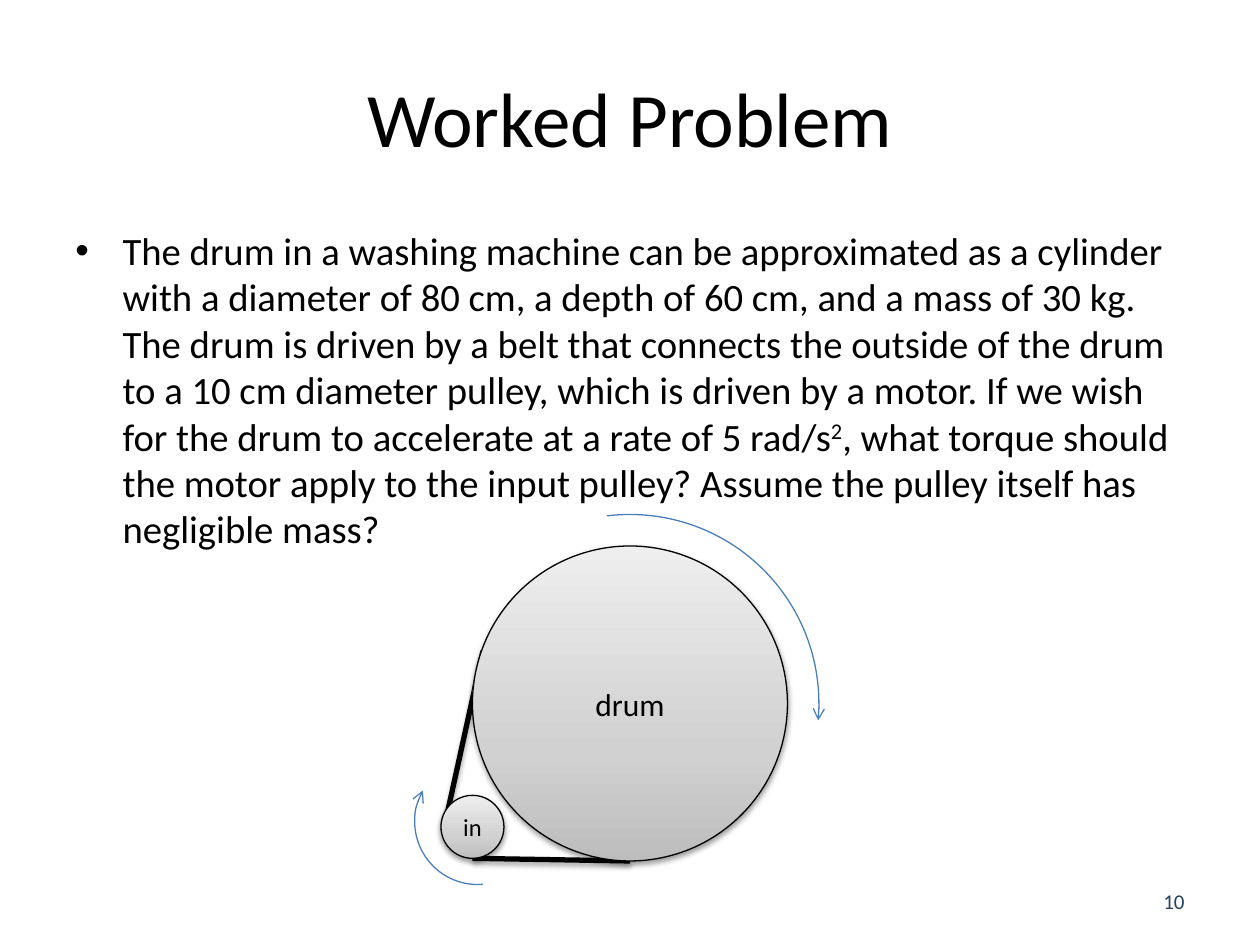
from copy import deepcopy
from dataclasses import dataclass
from lxml.etree import SubElement as Sub
from pptx import Presentation
from pptx.dml.color import RGBColor as RGB
from pptx.enum.shapes import MSO_CONNECTOR as Link, MSO_SHAPE as Kind
from pptx.enum.text import MSO_ANCHOR as Anchor, PP_ALIGN as Align
from pptx.oxml.ns import qn
from pptx.util import Pt


@dataclass(frozen=True)
class Theme:
    font: str = "Calibri"
    ink: str = "000000"
    navy: str = "254061"
    blue: str = "4B7EBC"
    grad: tuple = ((0, "BDBDBD"), (0.35, "D1D1D1"), (1, "EEEEEE"))
    title: float = 44
    body: float = 22.1
    drum: float = 18
    pulley: float = 14
    page: float = 12
    thin: float = 0.75
    belt: float = 3


T = Theme()


def style(para, size, color=T.ink, align=Align.LEFT):
    para.alignment = align
    for run in para.runs:
        run.font.name = T.font
        run.font.size = Pt(size)
        run.font.color.rgb = RGB.from_string(color)


def add_text(slide, box, text, size, color=T.ink, align=Align.LEFT,
             anchor=Anchor.MIDDLE):
    frame = slide.shapes.add_textbox(*map(Pt, box)).text_frame
    frame.word_wrap = True
    frame.vertical_anchor = anchor
    para = frame.paragraphs[0]
    para.text = text
    style(para, size, color, align)
    return para


def add_body(slide, box, parts):
    para = add_text(slide, box, "", T.body, anchor=Anchor.TOP)
    props = para._p.get_or_add_pPr()
    props.set("marL", str(Pt(27)))
    props.set("indent", str(Pt(-27)))
    Sub(props, qn("a:buFont"), typeface="Arial")
    Sub(props, qn("a:buChar"), char="•")
    for text, raised in parts:
        run = para.add_run()
        run.text = text
        if raised:
            run._r.get_or_add_rPr().set("baseline", "30000")
    style(para, T.body)


def set_line(shape, color, width):
    shape.line.color.rgb = RGB.from_string(color)
    shape.line.width = Pt(width)


def add_shade(shape, alpha, dist):
    props = shape._element.spPr
    for old in props.findall(qn("a:effectLst")):
        props.remove(old)
    shade = Sub(Sub(props, qn("a:effectLst")), qn("a:outerShdw"),
                blurRad=str(Pt(3.1)), dist=str(Pt(dist)),
                dir="5400000", rotWithShape="0")
    tint = Sub(shade, qn("a:srgbClr"), val=T.ink)
    Sub(tint, qn("a:alpha"), val=str(alpha * 1000))


def add_belt(slide, start, end):
    belt = slide.shapes.add_connector(Link.STRAIGHT, *map(Pt, start + end))
    set_line(belt, T.ink, T.belt)
    add_shade(belt, 35, 1.8)


def add_wheel(slide, left, top, size, label, points):
    wheel = slide.shapes.add_shape(Kind.OVAL, *map(Pt, (left, top, size, size)))
    wheel.fill.gradient()
    wheel.fill.gradient_angle = 90
    stops = wheel._element.spPr.find(qn("a:gradFill")).find(qn("a:gsLst"))
    stops.insert(1, deepcopy(stops[0]))
    for stop, (pos, color) in zip(wheel.fill.gradient_stops, T.grad):
        stop.position = pos
        stop.color.rgb = RGB.from_string(color)
    set_line(wheel, T.ink, T.thin)
    add_shade(wheel, 38, 1.6)
    frame = wheel.text_frame
    frame.word_wrap = False
    frame.vertical_anchor = Anchor.MIDDLE
    frame.text = label
    style(frame.paragraphs[0], points, align=Align.CENTER)


def add_arc(slide, left, top, size, start, end):
    arc = slide.shapes.add_shape(Kind.ARC, *map(Pt, (left, top, size, size)))
    arc.adjustments[0] = start
    arc.adjustments[1] = end
    arc.fill.background()
    arc.shadow.inherit = False
    set_line(arc, T.blue, T.thin)
    Sub(arc.line._get_or_add_ln(), qn("a:tailEnd"), type="arrow")


def main():
    deck = Presentation()
    deck.slide_width, deck.slide_height = Pt(720), Pt(540)
    slide = deck.slides.add_slide(deck.slide_layouts[6])
    add_belt(slide, (270, 490.5), (360, 492))
    add_text(slide, (36, 21.6, 648, 90), "Worked Problem", T.title,
             align=Align.CENTER)
    add_body(slide, (36, 126, 648, 180), (
        ("The drum in a washing machine can be approximated as a cylinder "
         "with a diameter of 80 cm, a depth of 60 cm, and a mass of 30 kg. "
         "The drum is driven by a belt that connects the outside of the drum "
         "to a 10 cm diameter pulley, which is driven by a motor. If we wish "
         "for the drum to accelerate at a rate of 5 rad/s", False),
        ("2", True),
        (", what torque should the motor apply to the input pulley? "
         "Assume the pulley itself has negligible mass?", False)))
    add_text(slide, (516, 500.5, 168, 28.8), "10", T.page, T.navy, Align.RIGHT)
    add_belt(slide, (254, 472), (276, 372))
    add_wheel(slide, 270, 312, 180, "drum", T.drum)
    add_wheel(slide, 252, 454.5, 36, "in", T.pulley)
    add_arc(slide, 237, 433.5, 72, 51.22, 125.69)
    add_arc(slide, 252, 294, 216, 157.81, 3.08)
    deck.save("out.pptx")


if __name__ == "__main__":
    main()
